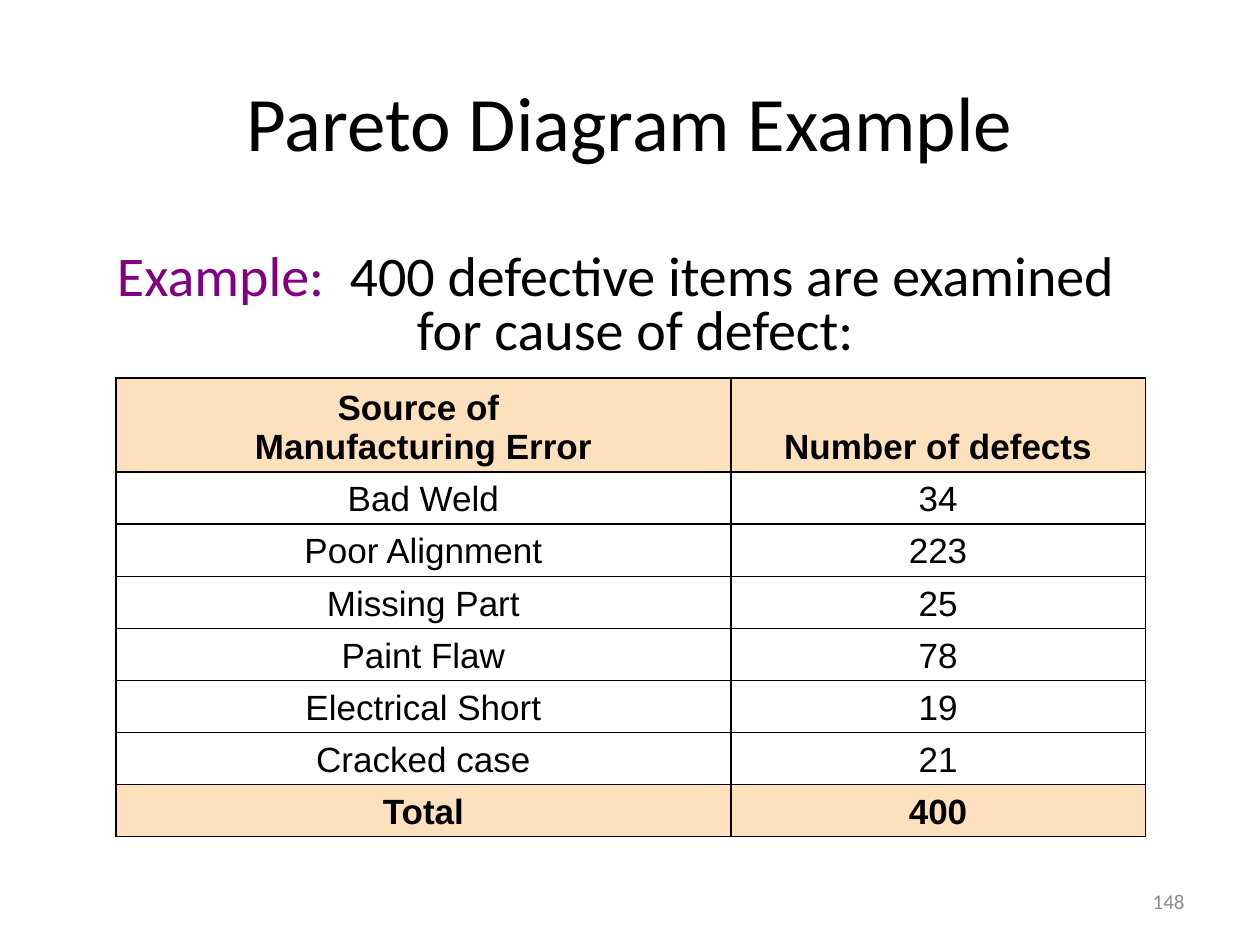
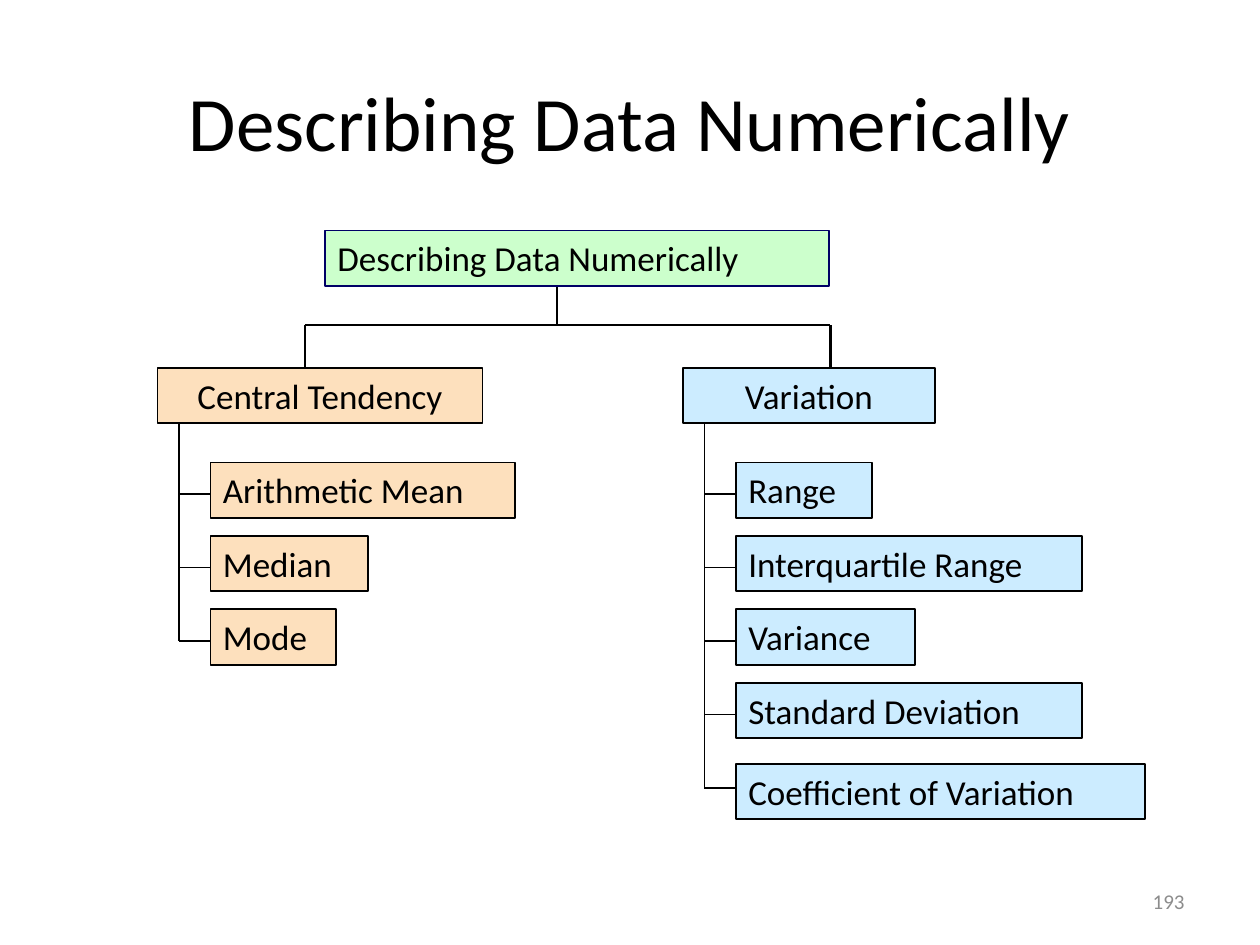
from lxml.etree import SubElement
from pptx import Presentation
from pptx.dml.color import RGBColor
from pptx.enum.shapes import MSO_CONNECTOR, MSO_SHAPE
from pptx.enum.text import MSO_ANCHOR, MSO_AUTO_SIZE, PP_ALIGN
from pptx.oxml.ns import qn
from pptx.util import Inches, Pt

BLACK = RGBColor(0x00, 0x00, 0x00)
WHITE = RGBColor(0xFF, 0xFF, 0xFF)
GRAY = RGBColor(0x8C, 0x8C, 0x8C)
PURPLE = RGBColor(0x80, 0x00, 0x80)
NAVY = RGBColor(0x00, 0x00, 0x66)
PEACH = RGBColor(0xFD, 0xE0, 0xBD)
GREEN = RGBColor(0xCC, 0xFF, 0xCC)
BLUE = RGBColor(0xCC, 0xEC, 0xFF)

TITLE_BOX = (0.5, 0.3, 9, 1.25)
NUMBER_BOX = (7.17, 6.95, 2.33, 0.4)
TITLE_FORMAT = {"alignment": PP_ALIGN.CENTER, "line_spacing": 1.1}
NUMBER_FORMAT = {"alignment": PP_ALIGN.RIGHT}
INTRO_FORMATS = (
    {"line_spacing": 1.2},
    {"line_spacing": 0.6, "space_before": Pt(6.4)},
)
CELL_FORMAT = {
    "vertical_anchor": MSO_ANCHOR.BOTTOM,
    "margin_top": Inches(0.04),
    "margin_bottom": Inches(0.04),
}

DEFECTS = [
    ("Source of \nManufacturing Error", "Number of defects"),
    ("Bad Weld", "34"),
    ("Poor Alignment", "223"),
    ("Missing Part", "25"),
    ("Paint Flaw", "78"),
    ("Electrical Short", "19"),
    ("Cracked case", "21"),
    ("Total", "400"),
]
CENTRAL_MEASURES = [("Arithmetic Mean", 2.42), ("Median", 1.25), ("Mode", 1)]
VARIATION_MEASURES = [
    ("Range", 1.08),
    ("Interquartile Range", 2.75),
    ("Variance", 1.42),
    ("Standard Deviation", 2.75),
    ("Coefficient of Variation", 3.25),
]
BOX_HEIGHT = 0.44
MEASURE_STEP = 7 / 12
STEM_OFFSET = 1.17


def apply_format(target, values):
    """Set each named attribute on the target."""
    for name, value in values.items():
        setattr(target, name, value)


def add_run(paragraph, text, size, color=BLACK, font="Calibri", bold=False):
    """Append one styled run to a paragraph."""
    run = paragraph.add_run()
    run.text = text
    apply_format(run.font, {"size": Pt(size), "name": font, "bold": bold})
    run.font.color.rgb = color


def add_text_frame(slide, box, anchor):
    """Add a wrapping text box and return its frame."""
    frame = slide.shapes.add_textbox(*map(Inches, box)).text_frame
    apply_format(frame, {"word_wrap": True, "vertical_anchor": anchor})
    return frame


def add_label(slide, box, text, size, color, values):
    """Add a single vertically centred line of text."""
    paragraph = add_text_frame(slide, box, MSO_ANCHOR.MIDDLE).paragraphs[0]
    apply_format(paragraph, values)
    add_run(paragraph, text, size, color)


def add_base_slide(presentation, title, number):
    """Add a blank slide with its title and page number."""
    slide = presentation.slides.add_slide(presentation.slide_layouts[6])
    add_label(slide, TITLE_BOX, title, 44, BLACK, TITLE_FORMAT)
    add_label(slide, NUMBER_BOX, number, 12, GRAY, NUMBER_FORMAT)
    return slide


def add_intro(slide, box):
    """Add the two-line introduction of the example."""
    frame = add_text_frame(slide, box, MSO_ANCHOR.TOP)
    opening, ending = frame.paragraphs[0], frame.add_paragraph()
    for paragraph, values in zip((opening, ending), INTRO_FORMATS):
        apply_format(paragraph, values)
    add_run(opening, "Example:", 32, PURPLE)
    add_run(opening, "  400 defective items are examined", 32)
    ending._p.get_or_add_pPr().set("marL", str(Inches(2.38)))
    add_run(ending, "for cause of defect:", 32)


def add_cell_borders(cell):
    """Draw a thin black line on every side of a cell."""
    properties = cell._tc.get_or_add_tcPr()
    for position, side in enumerate(("a:lnL", "a:lnR", "a:lnT", "a:lnB")):
        line = properties.makeelement(qn(side), {"w": str(Pt(1))})
        fill = SubElement(line, qn("a:solidFill"))
        SubElement(fill, qn("a:srgbClr"), {"val": str(BLACK)})
        properties.insert(position, line)


def fill_cell(cell, text, emphasized):
    """Write and style one table cell."""
    apply_format(cell, CELL_FORMAT)
    cell.fill.solid()
    cell.fill.fore_color.rgb = PEACH if emphasized else WHITE
    for index, line in enumerate(text.split("\n")):
        frame = cell.text_frame
        paragraph = frame.add_paragraph() if index else frame.paragraphs[0]
        paragraph.alignment = PP_ALIGN.CENTER
        add_run(paragraph, line, 20, font="Arial", bold=emphasized)
    add_cell_borders(cell)


def add_defect_table(slide, box):
    """Add the table of defects by source."""
    table = slide.shapes.add_table(len(DEFECTS), 2, *map(Inches, box)).table
    apply_format(table, {"first_row": False, "horz_banding": False})
    for column, width in zip(table.columns, (4.88, 3.29)):
        column.width = Inches(width)
    for row_index, values in enumerate(DEFECTS):
        table.rows[row_index].height = Inches(0.41 if row_index else 0.72)
        emphasized = row_index in (0, len(DEFECTS) - 1)
        for column_index, text in enumerate(values):
            fill_cell(table.cell(row_index, column_index), text, emphasized)


def add_line(slide, start, end, width):
    """Add a straight black line between two points."""
    connector = slide.shapes.add_connector(
        MSO_CONNECTOR.STRAIGHT, *map(Inches, (*start, *end))
    )
    connector.line.width = Pt(width)
    connector.line.color.rgb = BLACK
    SubElement(connector._element.spPr, qn("a:effectLst"))


def add_node(slide, box, text, fill, line=BLACK, alignment=PP_ALIGN.LEFT):
    """Add one outlined box of the hierarchy."""
    shape = slide.shapes.add_shape(MSO_SHAPE.RECTANGLE, *map(Inches, box))
    shape.shadow.inherit = False
    shape.fill.solid()
    shape.fill.fore_color.rgb = fill
    shape.line.color.rgb = line
    shape.line.width = Pt(1)
    frame = shape.text_frame
    apply_format(frame, {
        "word_wrap": True,
        "auto_size": MSO_AUTO_SIZE.SHAPE_TO_FIT_TEXT,
        "vertical_anchor": MSO_ANCHOR.TOP,
    })
    frame.paragraphs[0].alignment = alignment
    add_run(frame.paragraphs[0], text, 20)


def add_branch(slide, box, heading, measures, fill, last_drop=0):
    """Add a heading with its measures hanging from a trunk line."""
    left, top = box[:2]
    trunk, measure_left = left + 0.17, left + 0.42
    last = len(measures) - 1
    trunk_end = top + 1 + last * MEASURE_STEP
    add_line(slide, (trunk, top + 0.42), (trunk, trunk_end), 0.75)
    for index, (text, width) in enumerate(measures):
        offset = top + index * MEASURE_STEP
        drop = last_drop if index == last else 0
        add_line(slide, (trunk, offset + 1), (measure_left, offset + 1), 0.75)
        measure_box = (measure_left, offset + 0.75 + drop, width, BOX_HEIGHT)
        add_node(slide, measure_box, text, fill)
    add_node(slide, box, heading, fill, alignment=PP_ALIGN.CENTER)


def add_root(slide, box, branch_boxes):
    """Add the root box and the lines down to the branches."""
    left, top, _, height = box
    trunk, rail = left + 1.84, top + 0.75
    stems = [branch[0] + STEM_OFFSET for branch in branch_boxes]
    add_line(slide, (trunk, top + height), (trunk, rail), 1.5)
    add_line(slide, (stems[0], rail), (stems[-1], rail), 1.5)
    for stem, branch in zip(stems, branch_boxes):
        add_line(slide, (stem, rail), (stem, branch[1]), 1.5)
    add_node(slide, box, "Describing Data Numerically", GREEN, NAVY)


def build_pareto_slide(presentation):
    """Build the slide with the defect table."""
    slide = add_base_slide(presentation, "Pareto Diagram Example", "148")
    add_intro(slide, (0.83, 1.75, 8.83, 1.2))
    add_defect_table(slide, (0.92, 3, 8.17, 3.59))


def build_hierarchy_slide(presentation):
    """Build the slide with the tree of numerical measures."""
    slide = add_base_slide(presentation, "Describing Data Numerically", "193")
    central_box = (1.25, 2.92, 2.58, BOX_HEIGHT)
    variation_box = (5.42, 2.92, 2, BOX_HEIGHT)
    add_root(slide, (2.58, 1.83, 4, BOX_HEIGHT), (central_box, variation_box))
    add_branch(slide, central_box, "Central Tendency", CENTRAL_MEASURES, PEACH)
    add_branch(slide, variation_box, "Variation", VARIATION_MEASURES, BLUE, 0.06)


def main():
    """Create and save the presentation."""
    presentation = Presentation()
    size = {"slide_width": Inches(10), "slide_height": Inches(7.5)}
    apply_format(presentation, size)
    build_pareto_slide(presentation)
    build_hierarchy_slide(presentation)
    presentation.save("out.pptx")


if __name__ == "__main__":
    main()
